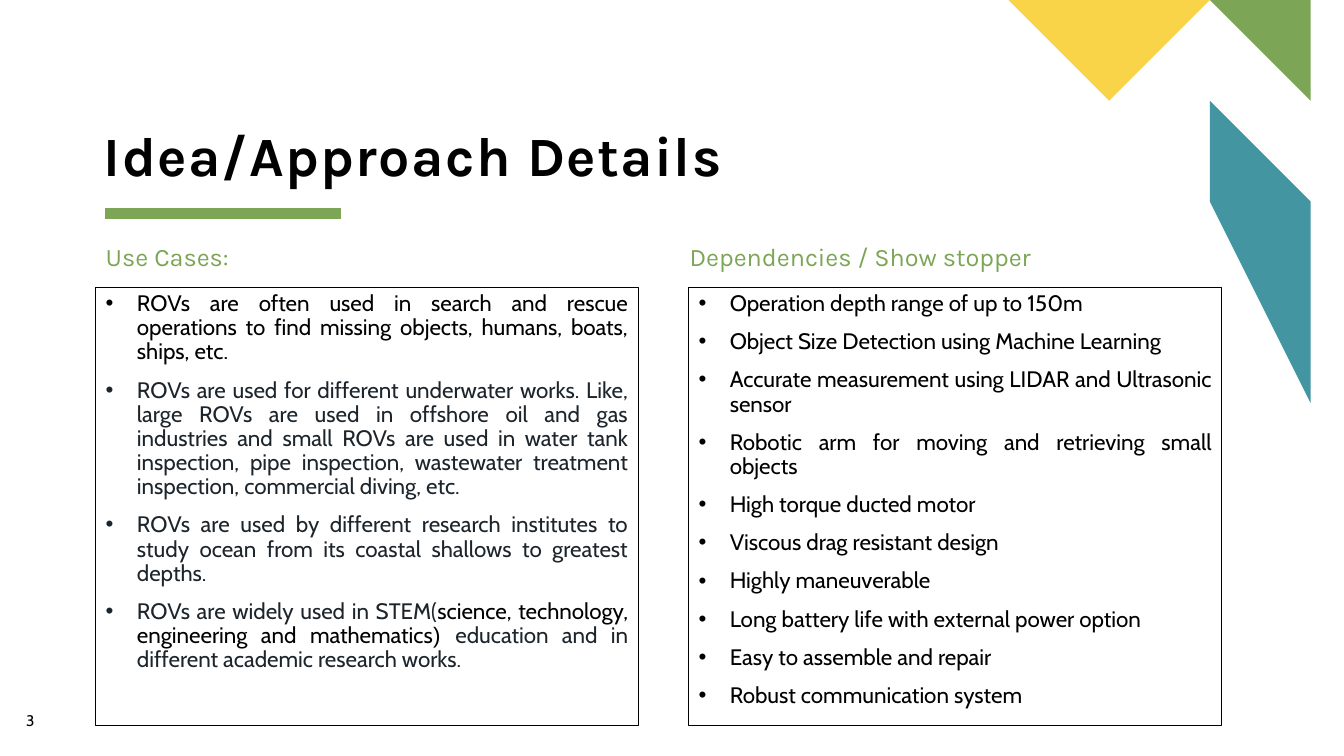
from pptx import Presentation
from pptx.dml.color import RGBColor
from pptx.enum.shapes import MSO_CONNECTOR, MSO_SHAPE
from pptx.enum.text import MSO_ANCHOR, PP_ALIGN
from pptx.oxml.ns import qn
from pptx.util import Inches, Pt
from lxml import etree

GREEN, BLUE, YELLOW, BLACK, DARK = "7CA655", "4495A2", "F9D448", "000000", "1D252C"


def rgb(value):
    return RGBColor.from_string(value)


def add_run(p, text, size, font, color, bold=False):
    r = p.add_run()
    r.text = text
    for name, value in {"size": Pt(size), "name": font, "bold": bold}.items():
        setattr(r.font, name, value)
    r.font.color.rgb = rgb(color)
    return r


prs = Presentation()
prs.slide_width, prs.slide_height = Inches(13.33), Inches(7.5)
slide = prs.slides.add_slide(prs.slide_layouts[5])
shapes = slide.shapes

# Corner decoration
corner = [
    (BLUE, [(13.33, 3.64), (13.33, 2.41), (12.12, 1.19), (11.5, 1.8)]),
    (GREEN, [(13.33, 1.19), (13.33, 0), (12.15, 0)]),
    (YELLOW, [(9.7, 0), (10.89, 1.19), (12.09, 0)]),
]
for color, points in corner:
    builder = shapes.build_freeform(*points[0], scale=Inches(1))
    builder.add_line_segments(points[1:], close=True)
    sp = builder.convert_to_shape()
    sp.shadow.inherit = False
    sp.fill.solid()
    sp.fill.fore_color.rgb = rgb(color)
    sp.line.fill.background()

# Title and its underline
title = shapes.title
title.left, title.top, title.width, title.height = map(Inches, (1.03, 1.2, 6.32, 0.67))
tf = title.text_frame
for name, value in {"margin_left": 0, "margin_right": 0, "margin_top": 0, "margin_bottom": 0,
                    "vertical_anchor": MSO_ANCHOR.BOTTOM, "word_wrap": True}.items():
    setattr(tf, name, value)
p = tf.paragraphs[0]
p.alignment, p.line_spacing = PP_ALIGN.LEFT, 0.9
r = add_run(p, "Idea/Approach Details", 39.6, "Karla", BLACK, True)
r.font._element.set("spc", "100")

rule = shapes.add_connector(MSO_CONNECTOR.STRAIGHT, Inches(1.04), Inches(2.12), Inches(3.38), Inches(2.12))
rule.line.color.rgb = rgb(GREEN)
rule.line.width = Pt(8)
etree.SubElement(rule._element.spPr, qn("a:effectLst"))

# Two columns: heading position, box position, bullets as lists of (text, font, colour)
use_cases = [
    [("ROVs are often used in search and rescue operations to find missing objects, "
      "humans, boats, ships, etc.", "Cabin", BLACK)],
    [("ROVs are used for different underwater works. Like, large ROVs are used in offshore oil "
      "and gas industries and small ROVs are used in water tank inspection, pipe inspection, "
      "wastewater treatment inspection, commercial diving, etc.", "Cabin", DARK)],
    [("ROVs are used by different research institutes to study ocean from its coastal shallows "
      "to greatest depths.", "Cabin", DARK)],
    [("ROVs are widely used in STEM(", "Cabin", DARK),
     ("science, technology, engineering and mathematics", "Cabin", BLACK),
     (") ", "Arial", BLACK),
     ("education and in different academic research works.", "Cabin", DARK)],
]
dependencies = [[(text, "Cabin", BLACK)] for text in (
    "Operation depth range of up to 150m",
    "Object Size Detection using Machine Learning",
    "Accurate measurement using LIDAR and Ultrasonic sensor",
    "Robotic arm for moving and retrieving small objects",
    "High torque ducted motor",
    "Viscous drag resistant design",
    "Highly maneuverable",
    "Long battery life with external power option",
    "Easy to assemble and repair",
    "Robust communication system",
)]
columns = [
    ("Use Cases:", 0.95, 5.51, 0.95, 5.38, use_cases),
    ("Dependencies / Show stopper", 6.74, 5.62, 6.83, 5.29, dependencies),
]
for heading, head_left, head_width, box_left, box_width, bullets in columns:
    tb = shapes.add_textbox(Inches(head_left), Inches(2.38), Inches(head_width), Inches(0.35))
    tb.text_frame.word_wrap = True
    p = tb.text_frame.paragraphs[0]
    p.line_spacing = 0.9
    add_run(p, heading, 18, "Karla", GREEN)

    box = shapes.add_shape(MSO_SHAPE.RECTANGLE, Inches(box_left), Inches(2.85),
                           Inches(box_width), Inches(4.35))
    box.shadow.inherit = False
    box.fill.background()
    box.line.color.rgb = rgb(BLACK)
    box.line.width = Pt(0.75)
    tf = box.text_frame
    tf.word_wrap, tf.vertical_anchor = True, MSO_ANCHOR.TOP
    for i, runs in enumerate(bullets):
        p = tf.add_paragraph() if i else tf.paragraphs[0]
        for name, value in {"alignment": PP_ALIGN.JUSTIFY, "line_spacing": 0.9,
                            "space_before": Pt(10)}.items():
            setattr(p, name, value)
        pPr = p._p.get_or_add_pPr()
        pPr.set("marL", str(Inches(0.31)))
        pPr.set("indent", str(-Inches(0.31)))
        etree.SubElement(pPr, qn("a:buFont"), typeface="Arial")
        etree.SubElement(pPr, qn("a:buChar"), char="•")
        for text, font, color in runs:
            add_run(p, text, 16, font, color)

# Slide number
tb = shapes.add_textbox(Inches(0.26), Inches(7.06), Inches(0.57), Inches(0.27))
tf = tb.text_frame
for side in ("left", "right", "top", "bottom"):
    setattr(tf, f"margin_{side}", 0)
tf.word_wrap = True
add_run(tf.paragraphs[0], "3", 11, "Cabin", BLACK)

prs.save("out.pptx")
